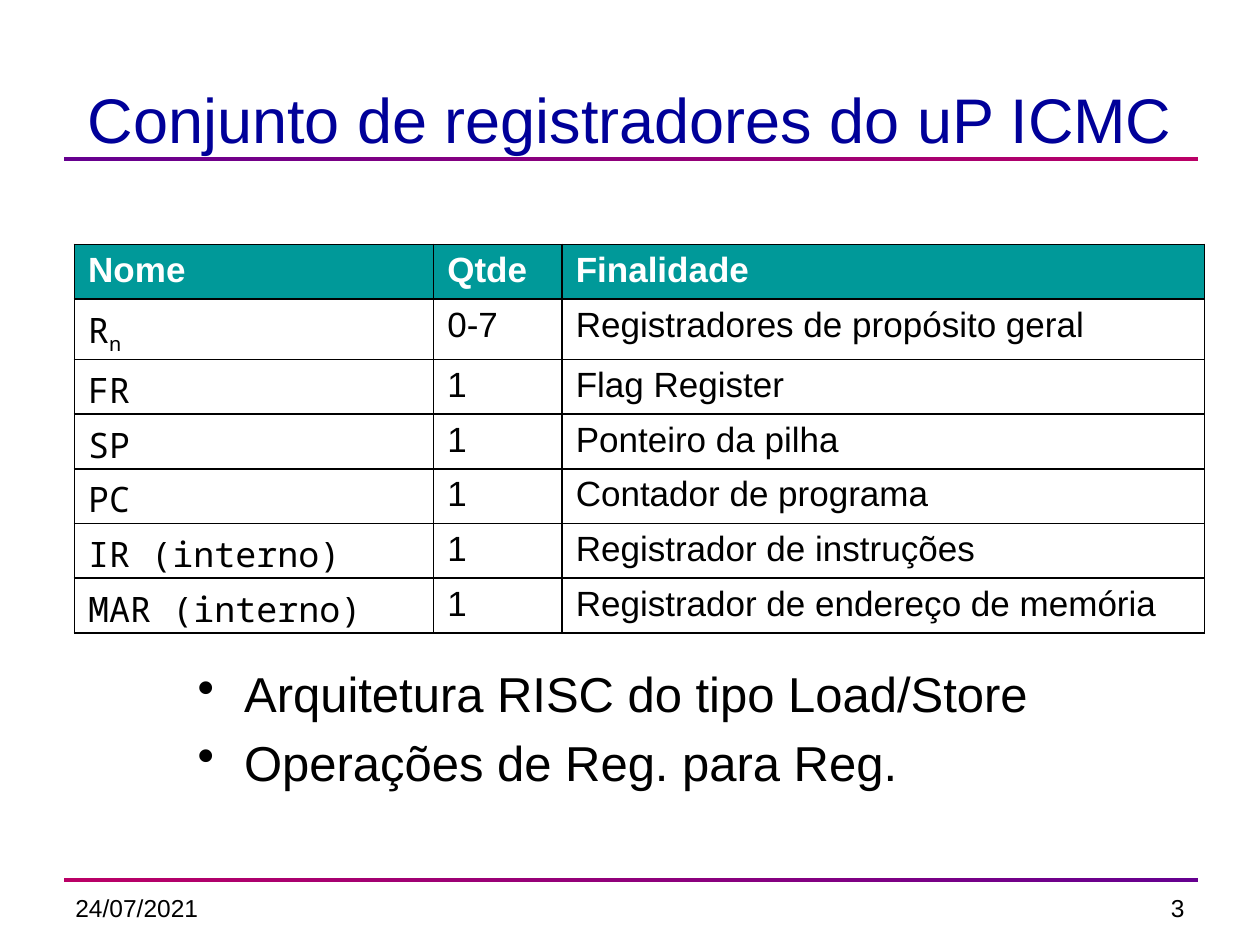
from dataclasses import dataclass

from lxml import etree
from pptx import Presentation
from pptx.dml.color import RGBColor
from pptx.enum.shapes import MSO_SHAPE
from pptx.enum.text import MSO_ANCHOR, PP_ALIGN
from pptx.oxml.ns import qn
from pptx.util import Inches, Pt

RECT = MSO_SHAPE.RECTANGLE
BOTTOM = MSO_ANCHOR.BOTTOM
LEFT, CENTER, RIGHT = PP_ALIGN.LEFT, PP_ALIGN.CENTER, PP_ALIGN.RIGHT

# Content
TITLE = "Conjunto de registradores do uP ICMC"
HEADS = ("Nome", "Qtde", "Finalidade")
REGS = [
    (("R", "n"), "0-7", "Registradores de propósito geral"),
    ("FR", "1", "Flag Register"),
    ("SP", "1", "Ponteiro da pilha"),
    ("PC", "1", "Contador de programa"),
    ("IR (interno)", "1", "Registrador de instruções"),
    ("MAR (interno)", "1", "Registrador de endereço de memória"),
]
NOTES = ["Arquitetura RISC do tipo Load/Store", "Operações de Reg. para Reg."]
DATE, PAGE = "24/07/2021", "3"


@dataclass(frozen=True)
class Theme:
    sans: str = "Arial"
    mono: str = "Noto Sans Mono"
    ink: str = "000000"
    paper: str = "FFFFFF"
    title: str = "000099"
    head: str = "009999"
    violet: str = "66008F"
    ruby: str = "BA0066"
    big: int = 36
    list: int = 28
    cell: int = 20
    foot: int = 14


T = Theme()

# Layout, in inches
WIDE, HIGH = 10, 7.5
EDGE = 0.51
RULE_W, RULE_H = 9, 0.03
RULES = [(1.25, T.violet, T.ruby), (6.97, T.ruby, T.violet)]
COLS = (2.85, 1.02, 5.1)
ROWS = [0.41, 0.47] + [0.42] * (len(REGS) - 1)
FOOT_W = 2.33
HANG = 0.37


def rgb(code):
    return RGBColor.from_string(code)


def style(para, size, color=T.ink, face=T.sans, bold=False):
    font = para.font
    font.name, font.size, font.bold = face, Pt(size), bold
    font.color.rgb = rgb(color)


def hang(para):
    props = para._p.get_or_add_pPr()
    props.set("marL", str(Inches(HANG + 0.01)))
    props.set("indent", str(-Inches(HANG)))
    return props


def add_rule(slide, top, start, end):
    bar = slide.shapes.add_shape(RECT, Inches(EDGE), Inches(top),
                                 Inches(RULE_W), Inches(RULE_H))
    bar.shadow.inherit = False
    bar.line.fill.background()
    bar.fill.gradient()
    bar.fill.gradient_angle = 0
    for stop, place, color in zip(bar.fill.gradient_stops, (0, 1), (start, end)):
        stop.position = place
        stop.color.rgb = rgb(color)


def add_text(slide, box, lines, size, align=LEFT):
    frame = slide.shapes.add_textbox(*map(Inches, box)).text_frame
    frame.word_wrap = True
    frame.text = "\n".join(lines)
    for para in frame.paragraphs:
        para.alignment = align
        style(para, size)
    return frame.paragraphs


def add_borders(cell):
    props = cell._tc.get_or_add_tcPr()
    for spot, side in enumerate(("lnL", "lnR", "lnT", "lnB")):
        line = etree.Element(qn("a:" + side), w=str(Pt(0.96)))
        fill = etree.SubElement(line, qn("a:solidFill"))
        etree.SubElement(fill, qn("a:srgbClr"), val=T.ink)
        props.insert(spot, line)


def fill_cell(cell, text, head, mono):
    para = cell.text_frame.paragraphs[0]
    tabs = etree.SubElement(hang(para), qn("a:tabLst"))
    etree.SubElement(tabs, qn("a:tab"), pos="0", algn="l")
    base, *sub = (text,) if isinstance(text, str) else text
    para.add_run().text = base
    for part in sub:
        run = para.add_run()
        run.text = part
        run.font._element.set("baseline", "-25000")
    style(para, T.cell, T.paper if head else T.ink,
          T.mono if mono else T.sans, head)
    if head:
        cell.fill.solid()
        cell.fill.fore_color.rgb = rgb(T.head)
    else:
        cell.fill.background()
    add_borders(cell)


def add_regs(slide):
    size = (0.59, 1.94, sum(COLS), sum(ROWS))
    table = slide.shapes.add_table(len(ROWS), len(COLS), *map(Inches, size)).table
    table.horz_banding = False
    for col, width in zip(table.columns, COLS):
        col.width = Inches(width)
    for row, height in zip(table.rows, ROWS):
        row.height = Inches(height)
    for r, line in enumerate([HEADS] + REGS):
        for c, text in enumerate(line):
            fill_cell(table.cell(r, c), text, r == 0, r > 0 and c == 0)


def add_notes(slide):
    paras = add_text(slide, (1.46, 5.22, 7, 1.58), NOTES, T.list)
    for i, para in enumerate(paras):
        if i:
            para.space_before = Pt(5.6)
        props = hang(para)
        mark = etree.Element(qn("a:buChar"), char="•")
        props.insert(list(props).index(props.find(qn("a:defRPr"))), mark)


def main():
    deck = Presentation()
    deck.slide_width, deck.slide_height = Inches(WIDE), Inches(HIGH)
    slide = deck.slides.add_slide(deck.slide_layouts[5])

    # Rules and footer
    for rule in RULES:
        add_rule(slide, *rule)
    for left, text, align in ((0.5, DATE, LEFT),
                              (WIDE - 0.5 - FOOT_W, PAGE, RIGHT)):
        add_text(slide, (left, 7.04, FOOT_W, 0.52), [text], T.foot, align)

    # Title
    title = slide.shapes.title
    title.left, title.top = Inches(EDGE), Inches(0.5)
    title.width, title.height = Inches(WIDE - 2 * EDGE), Inches(0.79)
    frame = title.text_frame
    frame.text = TITLE
    frame.vertical_anchor = BOTTOM
    frame.paragraphs[0].alignment = CENTER
    style(frame.paragraphs[0], T.big, T.title)

    # Body
    add_regs(slide)
    add_notes(slide)
    deck.save("out.pptx")


if __name__ == "__main__":
    main()
